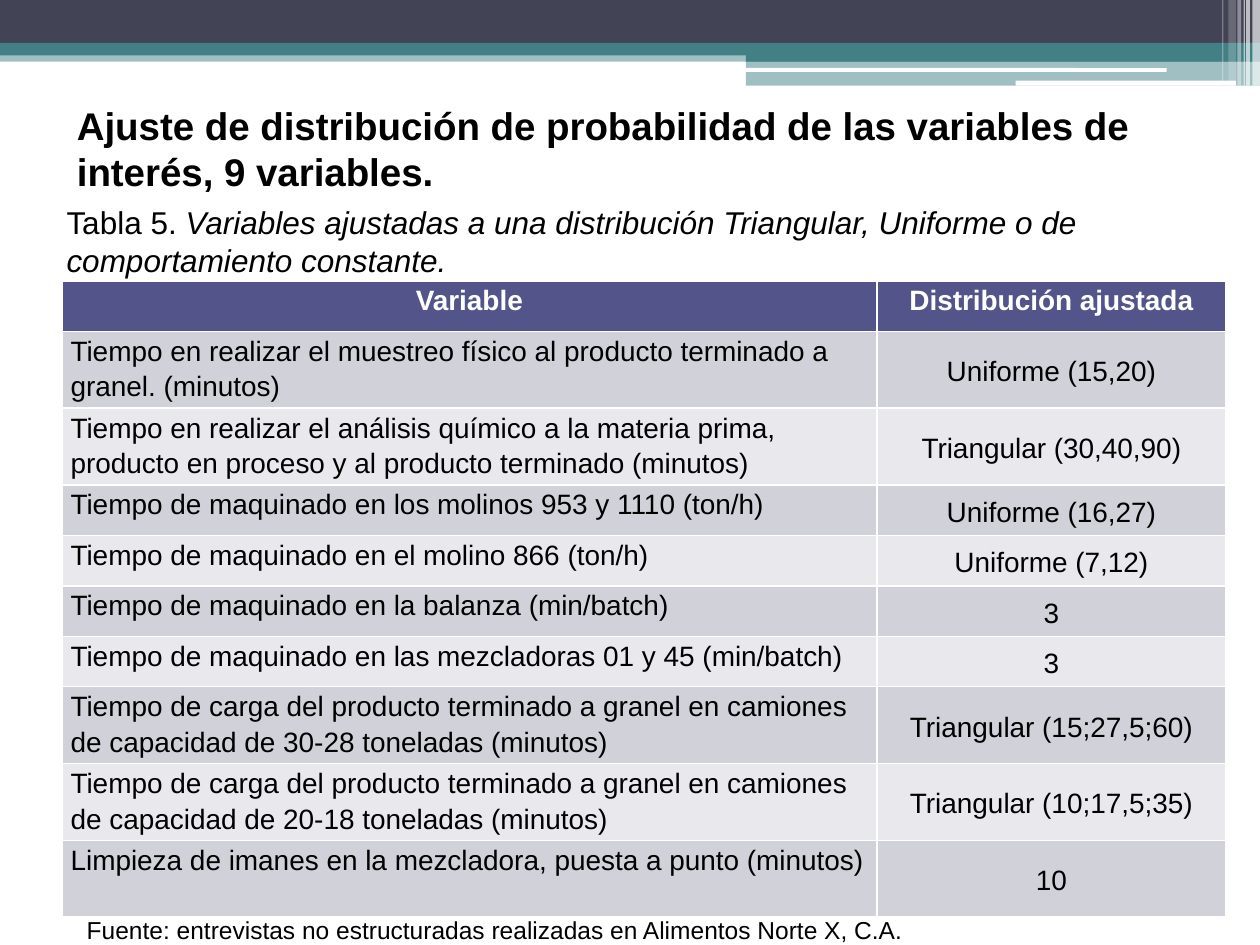
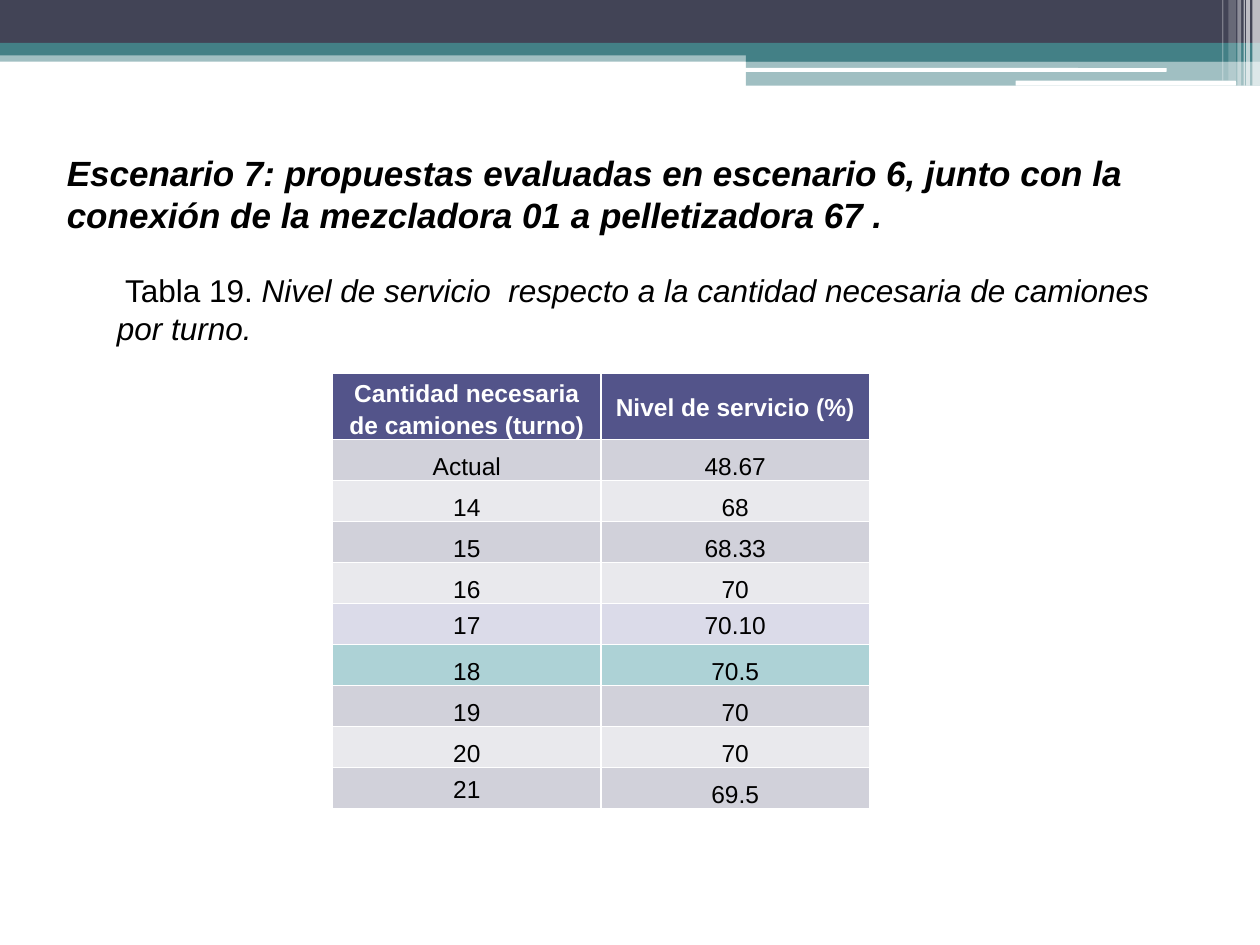
import pptx
import pptx.util
import pptx.dml.color
import pptx.enum.shapes
import pptx.enum.text
import pptx.oxml
import pptx.oxml.ns

Inches, Pt = pptx.util.Inches, pptx.util.Pt
ANCHOR = pptx.enum.text.MSO_ANCHOR
ALIGN = pptx.enum.text.PP_ALIGN
SHAPE = pptx.enum.shapes.MSO_SHAPE

FONT = "Arial"
COLORS = {
    "slate": "424456", "teal": "438086", "white": "FFFFFF", "text": "000000",
    "header": "53548A", "odd": "D1D1DA", "even": "E9E9ED",
    "lilac": "DBDBE9", "best": "ADD2D6",
}

# left, top, width, height, colour, opacity in percent
BANDS = [
    (0, 0.4, 10, 0.09, "teal", 50),
    (0, 0, 10, 0.34, "slate", 100),
    (0, 0.34, 10, 0.1, "teal", 100),
    (5.92, 0.39, 4.08, 0.1, "teal", 100),
    (5.92, 0.48, 4.08, 0.2, "teal", 50),
]
ROUNDED_LINES = [
    (5.91, 0.54, 3.35, 0.03, "white", 100),
    (8.06, 0.64, 1.75, 0.04, "white", 100),
]
# left, width, height, opacity in percent
STRIPES = [
    (9.94, 0.06, 0.68, 65), (9.89, 0.03, 0.68, 65), (9.87, 0.01, 0.68, 60),
    (9.82, 0.03, 0.68, 40), (9.75, 0.06, 0.64, 20), (9.7, 0.01, 0.64, 30),
]

VARIABLES = {
    "title": "Ajuste de distribución de probabilidad de las variables de interés, 9 variables.",
    "caption": ("Tabla 5. ", "Variables ajustadas a una distribución Triangular, "
                             "Uniforme o de comportamiento constante."),
    "source": "Fuente: entrevistas no estructuradas realizadas en Alimentos Norte X, C.A.",
    "header": ("Variable", "Distribución ajustada"),
    # variable, distribution, lines of room in the row
    "rows": [
        ("Tiempo en realizar el muestreo físico al producto terminado a granel. (minutos)",
         "Uniforme (15,20)", 2),
        ("Tiempo en realizar el análisis químico a la materia prima, producto en proceso "
         "y al producto terminado (minutos)", "Triangular (30,40,90)", 2),
        ("Tiempo de maquinado en los molinos 953 y 1110 (ton/h)", "Uniforme (16,27)", 1),
        ("Tiempo de maquinado en el molino 866 (ton/h)", "Uniforme (7,12)", 1),
        ("Tiempo de maquinado en la balanza (min/batch)", "3", 1),
        ("Tiempo de maquinado en las mezcladoras 01 y 45 (min/batch)", "3", 1),
        ("Tiempo de carga del producto terminado a granel en camiones de capacidad "
         "de 30-28 toneladas (minutos)", "Triangular (15;27,5;60)", 2),
        ("Tiempo de carga del producto terminado a granel en camiones de capacidad "
         "de 20-18 toneladas (minutos)", "Triangular (10;17,5;35)", 2),
        ("Limpieza de imanes en la mezcladora, puesta a punto (minutos)", "10", 2),
    ],
}
ROW_HEIGHTS = {1: 0.4, 2: 0.61}

SCENARIO = {
    "title": "Escenario 7: propuestas evaluadas en escenario 6, junto con la conexión "
             "de la mezcladora 01 a pelletizadora 67 .",
    "caption": (" Tabla 19. ", "Nivel de servicio  respecto a la cantidad necesaria "
                               "de camiones por turno."),
    "header": ("Cantidad necesaria de camiones (turno)", "Nivel de servicio (%)"),
    "rows": [
        ("Actual", "48.67"), ("14", "68"), ("15", "68.33"), ("16", "70"), ("17", "70.10"),
        ("18", "70.5"), ("19", "70"), ("20", "70"), ("21", "69.5"),
    ],
    "row_fills": {5: "lilac", 6: "best"},
    "middle_cells": {(0, 1), (5, 0), (5, 1), (9, 0)},
}


def rgb(name):
    return pptx.dml.color.RGBColor.from_string(COLORS[name])


def add_run(p, text, size, color="text", **formats):
    r = p.add_run()
    r.text = text
    r.font.color.rgb = rgb(color)
    for name, value in {"name": FONT, "size": Pt(size), **formats}.items():
        setattr(r.font, name, value)


def add_block(slide, box, color, opacity, kind=SHAPE.RECTANGLE):
    """Add a borderless filled shape, see-through below 100 percent opacity."""
    sp = slide.shapes.add_shape(kind, *map(Inches, box))
    sp.shadow.inherit = False
    sp.line.fill.background()
    sp.fill.solid()
    sp.fill.fore_color.rgb = rgb(color)
    if opacity < 100:
        fill_color = sp.fill._xPr.find(".//" + pptx.oxml.ns.qn("a:srgbClr"))
        fill_color.append(pptx.oxml.parse_xml(
            f'<a:alpha {pptx.oxml.ns.nsdecls("a")} val="{opacity * 1000}"/>'))


def add_decoration(slide):
    for *box, color, opacity in BANDS:
        add_block(slide, box, color, opacity)
    for *box, color, opacity in ROUNDED_LINES:
        add_block(slide, box, color, opacity, SHAPE.ROUNDED_RECTANGLE)
    for left, width, height, opacity in STRIPES:
        add_block(slide, (left, 0, width, height), "white", opacity)


def set_title(slide, text, box, size, **formats):
    sp = slide.shapes.title
    for side, value in zip(("left", "top", "width", "height"), box):
        setattr(sp, side, Inches(value))
    tf = sp.text_frame
    for name, value in {"word_wrap": True, "vertical_anchor": ANCHOR.TOP,
                        "auto_size": pptx.enum.text.MSO_AUTO_SIZE.NONE}.items():
        setattr(tf, name, value)
    p = tf.paragraphs[0]
    p.alignment = ALIGN.LEFT
    add_run(p, text, size, bold=True, **formats)


def add_text(slide, box, size, plain, italic=None):
    tf = slide.shapes.add_textbox(*map(Inches, box)).text_frame
    tf.word_wrap = True
    p = tf.paragraphs[0]
    add_run(p, plain, size)
    if italic:
        add_run(p, italic, size, italic=True)


def add_grid(slide, left, top, col_widths, row_heights, rows, size, row_fills, cell_format):
    """Add a banded table; cell_format(row, column) gives anchor, alignment and space after."""
    table = slide.shapes.add_table(
        len(rows), len(col_widths), Inches(left), Inches(top),
        Inches(sum(col_widths)), Inches(sum(row_heights))).table
    for column, width in zip(table.columns, col_widths):
        column.width = Inches(width)
    for i, texts in enumerate(rows):
        table.rows[i].height = Inches(row_heights[i])
        band = "header" if i == 0 else row_fills.get(i, "odd" if i % 2 else "even")
        for j, text in enumerate(texts):
            cell = table.cell(i, j)
            anchor, alignment, space_after = cell_format(i, j)
            cell.fill.solid()
            cell.fill.fore_color.rgb = rgb(band)
            for name, value in {"margin_left": Inches(0.07), "margin_right": Inches(0.07),
                                "margin_top": 0, "margin_bottom": 0,
                                "vertical_anchor": anchor}.items():
                setattr(cell, name, value)
            p = cell.text_frame.paragraphs[0]
            for name, value in {"alignment": alignment, "line_spacing": 1.15,
                                "space_after": Pt(space_after)}.items():
                setattr(p, name, value)
            add_run(p, text, size, "white" if i == 0 else "text", bold=i == 0)


def variable_cell(i, j):
    anchor = ANCHOR.MIDDLE if i and j else ANCHOR.TOP
    return anchor, ALIGN.LEFT if i and not j else ALIGN.CENTER, 10


def scenario_cell(i, j):
    anchor = ANCHOR.MIDDLE if (i, j) in SCENARIO["middle_cells"] else ANCHOR.BOTTOM
    return anchor, ALIGN.CENTER, 0


def add_slide(prs):
    slide = prs.slides.add_slide(prs.slide_layouts.get_by_name("Title Only"))
    add_decoration(slide)
    return slide


def build_variables(prs):
    slide = add_slide(prs)
    heights = [ROW_HEIGHTS[1]] + [ROW_HEIGHTS[lines] for *_, lines in VARIABLES["rows"]]
    rows = [VARIABLES["header"]] + [row[:2] for row in VARIABLES["rows"]]
    add_grid(slide, 0.49, 2.23, (6.47, 2.77), heights, rows, 16, {}, variable_cell)
    add_text(slide, (0.59, 7.21, 8.9, 0.34), 14, VARIABLES["source"])
    set_title(slide, VARIABLES["title"], (0.51, 0.76, 8.98, 0.84), 22)
    add_text(slide, (0.43, 1.56, 9.57, 1.01), 18, *VARIABLES["caption"])


def build_scenario(prs):
    slide = add_slide(prs)
    set_title(slide, SCENARIO["title"], (0.43, 1.15, 8.82, 1.11), 20, italic=True)
    rows = [SCENARIO["header"]] + SCENARIO["rows"]
    header_height, table_height = 0.53, 3.46
    body_height = (table_height - header_height) / len(SCENARIO["rows"])
    heights = [header_height] + [body_height] * len(SCENARIO["rows"])
    add_grid(slide, 2.64, 2.96, (2.13, 2.13), heights, rows, 14,
             SCENARIO["row_fills"], scenario_cell)
    add_text(slide, (0.83, 2.1, 8.43, 0.71), 18, *SCENARIO["caption"])


def main():
    prs = pptx.Presentation()
    prs.slide_width, prs.slide_height = Inches(10), Inches(7.5)
    build_variables(prs)
    build_scenario(prs)
    prs.save("out.pptx")


if __name__ == "__main__":
    main()
